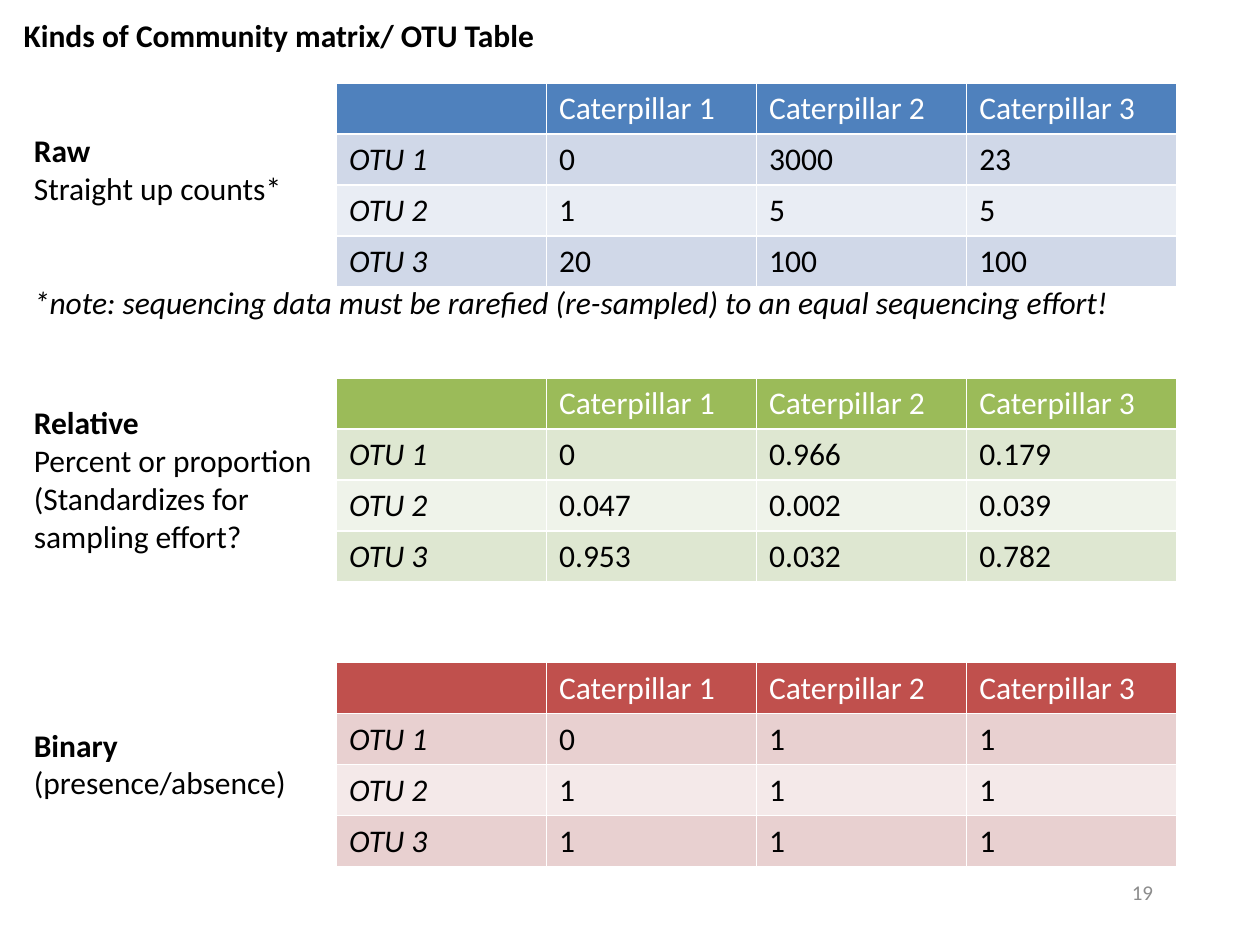
from dataclasses import dataclass

import pptx
import pptx.dml.color
import pptx.enum.text
import pptx.util
from pptx.util import Inches


@dataclass(frozen=True)
class Theme:
    font: str = "Calibri"
    body_size: int = 18
    number_size: int = 12
    text: str = "000000"
    header_text: str = "FFFFFF"
    number_text: str = "8C8C8C"
    # header, odd row, even row
    blue: tuple = ("4F81BD", "D0D8E8", "E9EDF4")
    green: tuple = ("9BBB59", "DEE7D1", "EFF3EA")
    red: tuple = ("C0504D", "E8D0D0", "F4E9E9")


THEME = Theme()
HEADERS = ["", "Caterpillar 1", "Caterpillar 2", "Caterpillar 3"]
TABLE_LEFT, TABLE_WIDTH, TABLE_HEIGHT = 2.67, 6.67, 1.62
NOTE = "*note: sequencing data must be rarefied (re-sampled) to an equal sequencing effort!"

MATRICES = [
    (0.66, THEME.blue, [[0, 3000, 23], [1, 5, 5], [20, 100, 100]]),
    (3, THEME.green, [[0, 0.966, 0.179], [0.047, 0.002, 0.039], [0.953, 0.032, 0.782]]),
    (5.26, THEME.red, [[0, 1, 1], [1, 1, 1], [1, 1, 1]]),
]


def style_paragraph(paragraph, color=THEME.text, size=THEME.body_size, bold=False, italic=False):
    font = paragraph.font
    font.name = THEME.font
    font.size = pptx.util.Pt(size)
    font.bold = bold
    font.italic = italic
    font.color.rgb = pptx.dml.color.RGBColor.from_string(color)


def add_matrix(slide, box, colors, counts):
    """Place a community matrix: one row per OTU, one column per caterpillar."""
    header_fill, *band_fills = colors
    rows = [HEADERS] + [[f"OTU {i}", *values] for i, values in enumerate(counts, 1)]
    table = slide.shapes.add_table(len(rows), len(HEADERS), *map(Inches, box)).table
    for r, row in enumerate(rows):
        is_header = r == 0
        fill = header_fill if is_header else band_fills[(r - 1) % 2]
        for c, value in enumerate(row):
            cell = table.cell(r, c)
            cell.fill.solid()
            cell.fill.fore_color.rgb = pptx.dml.color.RGBColor.from_string(fill)
            cell.text = str(value)
            style_paragraph(
                cell.text_frame.paragraphs[0],
                color=THEME.header_text if is_header else THEME.text,
                italic=c == 0 and not is_header,
            )


def add_label(slide, box, heading, lines=(), wrap=False):
    """Place a bold heading with plain lines below it, and return the text frame."""
    frame = slide.shapes.add_textbox(*map(Inches, box)).text_frame
    frame.word_wrap = wrap
    frame.auto_size = pptx.enum.text.MSO_AUTO_SIZE.SHAPE_TO_FIT_TEXT
    frame.text = "\n".join([heading, *lines])
    for i, paragraph in enumerate(frame.paragraphs):
        style_paragraph(paragraph, bold=i == 0)
    return frame


def add_raw_label(slide, box):
    frame = add_label(slide, box, "Raw", ["Straight up counts*"])
    note = frame.add_paragraph()
    note.text = NOTE
    note.space_before = pptx.util.Pt(43.5)
    style_paragraph(note, italic=True)


def add_slide_number(slide, box, number):
    frame = slide.shapes.add_textbox(*map(Inches, box)).text_frame
    frame.word_wrap = True
    frame.vertical_anchor = pptx.enum.text.MSO_ANCHOR.MIDDLE
    paragraph = frame.paragraphs[0]
    paragraph.text = str(number)
    paragraph.alignment = pptx.enum.text.PP_ALIGN.RIGHT
    style_paragraph(paragraph, color=THEME.number_text, size=THEME.number_size)


def main():
    presentation = pptx.Presentation()
    presentation.slide_width = Inches(10)
    presentation.slide_height = Inches(7.5)
    slide = presentation.slides.add_slide(presentation.slide_layouts[6])

    add_label(slide, (0.09, 0.08, 4.3, 0.4), "Kinds of Community matrix/ OTU Table")
    for top, colors, counts in MATRICES:
        add_matrix(slide, (TABLE_LEFT, top, TABLE_WIDTH, TABLE_HEIGHT), colors, counts)
    add_raw_label(slide, (0.17, 0.99, 8.88, 1.62))
    add_label(
        slide, (0.17, 3.15, 2.43, 1.31), "Relative",
        ["Percent or proportion", "(Standardizes for sampling effort?"], wrap=True,
    )
    add_label(slide, (0.17, 5.71, 2.22, 0.71), "Binary", ["(presence/absence)"])
    add_slide_number(slide, (7.17, 6.83, 2.08, 0.5), 19)

    presentation.save("out.pptx")


if __name__ == "__main__":
    main()
